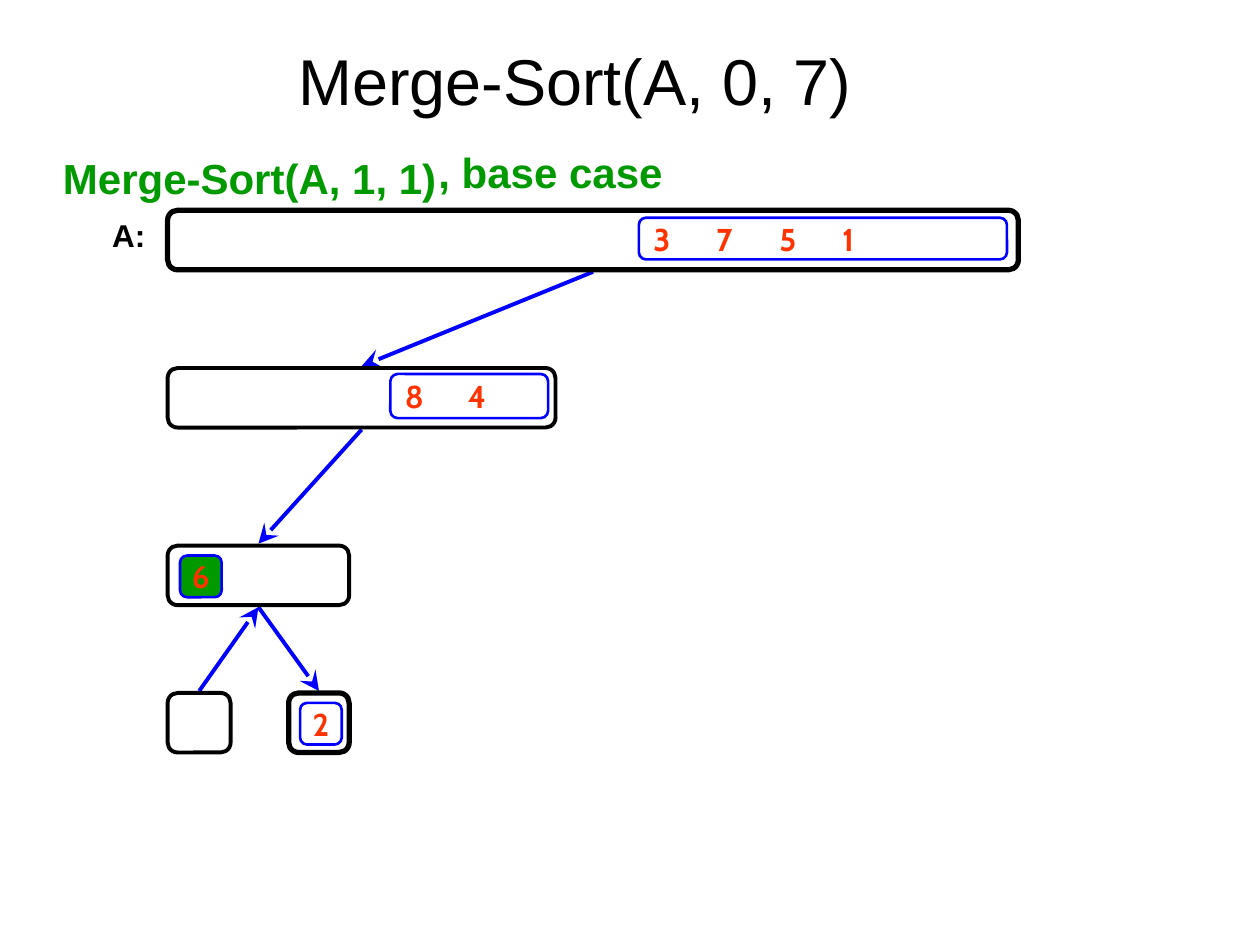
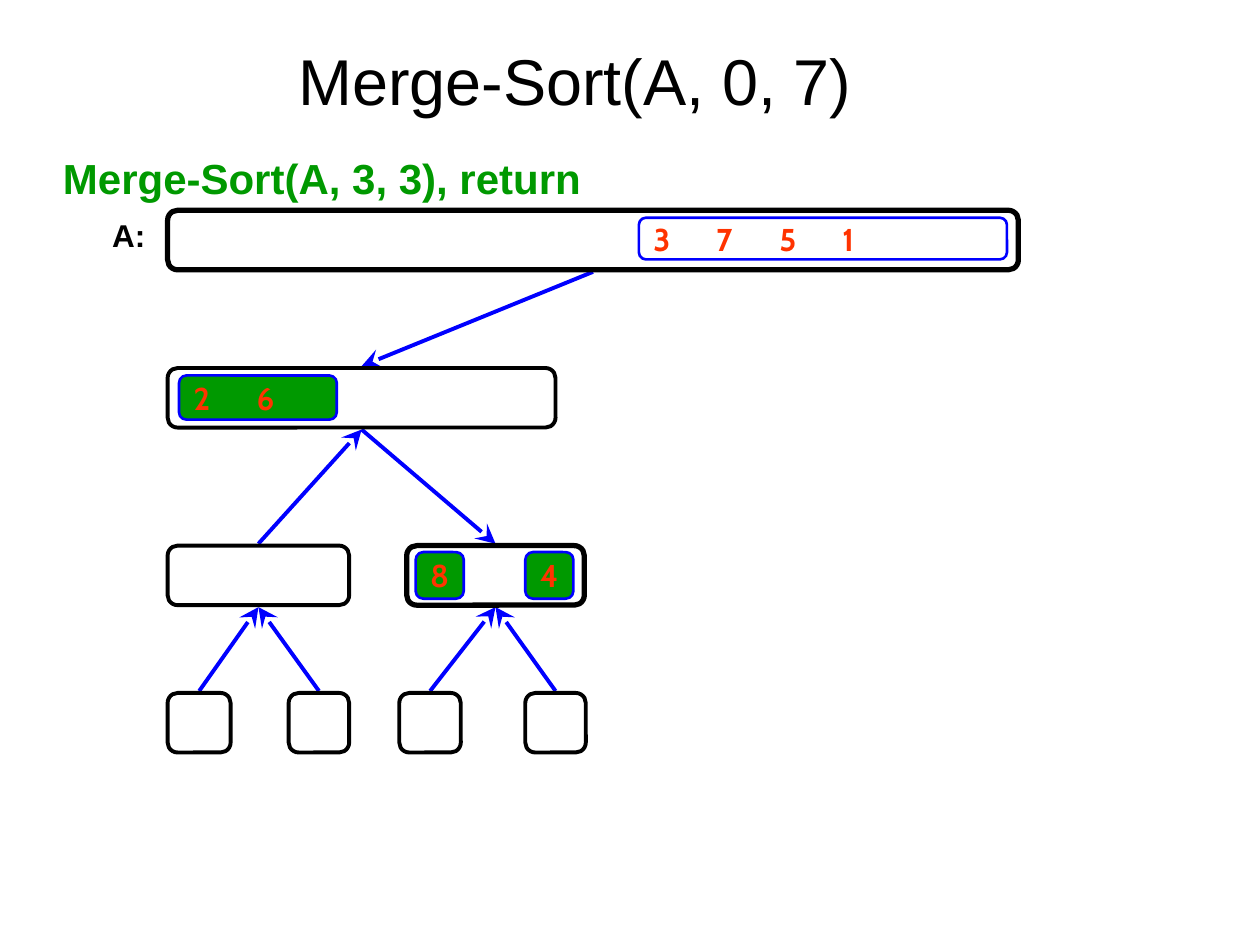
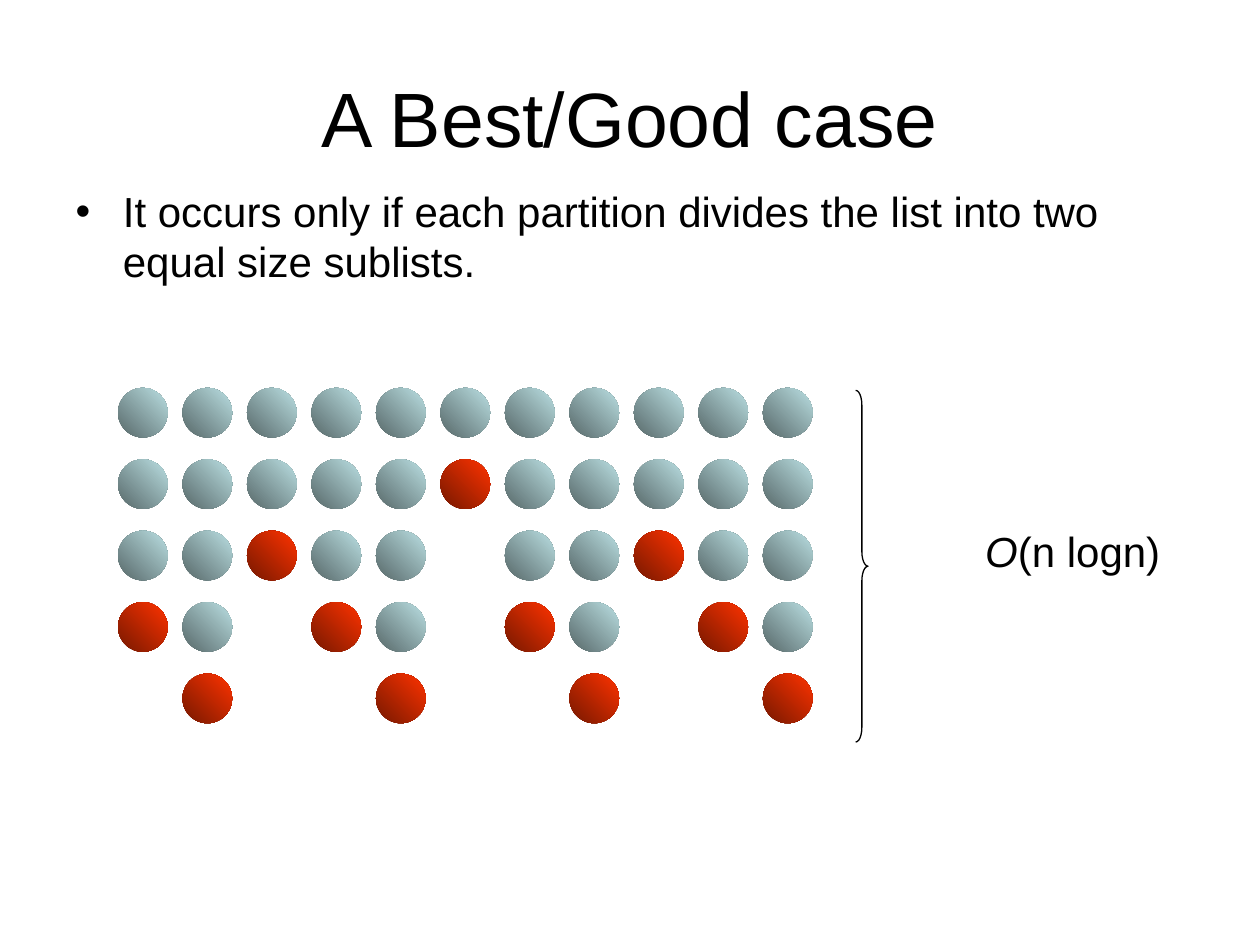
"""Build three slides: two merge-sort recursion steps and the best case of partitioning."""
from dataclasses import dataclass, field
from typing import Optional

from lxml import etree
from pptx import Presentation
from pptx import util as u
from pptx.dml.color import RGBColor
from pptx.enum import shapes, text
from pptx.oxml.ns import qn


@dataclass(frozen=True)
class Style:
    size: float
    color: str
    bold: bool = False
    font: str = "Arial"


@dataclass(frozen=True)
class Theme:
    black: str = "000000"
    white: str = "FFFFFF"
    blue: str = "0000FF"
    green: str = "009900"
    grey_ball: tuple[str, str] = ("576869", "BBE0E3")
    red_ball: tuple[str, str] = ("761800", "FF3300")
    step_title: Style = Style(37, "000000")
    title: Style = Style(44, "000000")
    body: Style = Style(24, "000000")
    caption: Style = Style(24, "009900", True)
    label: Style = Style(18, "000000", True)
    digit: Style = Style(18, "FF3300", True, "Cabin")
    thin: float = 0.75
    cell: float = 1.5
    normal: float = 2.25
    thick: float = 3


@dataclass(frozen=True)
class Box:
    left: float
    top: float
    width: float
    height: float


@dataclass(frozen=True)
class Node:
    box: Box
    parent: Optional[str] = None


@dataclass(frozen=True)
class Cells:
    digits: str
    box: Box
    done: bool = False


@dataclass(frozen=True)
class Step:
    captions: list[tuple[str, Box]]
    active: str
    called: list[str]
    returned: list[str]
    cells: list[Cells] = field(default_factory=list)


THEME = Theme()
CORNER = 0.167
EDGE_GAP = 0.04
DIGIT_TABS = (1.77, 3.53, 5.16)
NODE_HEIGHT = 1.2
ROOT_TOP, HALF_TOP, PAIR_TOP, LEAF_TOP = 4.24, 7.42, 11, 13.97

NODES = {
    "root": Node(Box(3.38, ROOT_TOP, 17.15, NODE_HEIGHT)),
    "half": Node(Box(3.38, HALF_TOP, 7.82, NODE_HEIGHT), "root"),
    "pair 0-1": Node(Box(3.38, PAIR_TOP, 3.66, NODE_HEIGHT), "half"),
    "pair 2-3": Node(Box(8.2, PAIR_TOP, 3.58, NODE_HEIGHT), "half"),
    "leaf 0": Node(Box(3.38, LEAF_TOP, 1.27, NODE_HEIGHT), "pair 0-1"),
    "leaf 1": Node(Box(5.82, LEAF_TOP, 1.22, NODE_HEIGHT), "pair 0-1"),
    "leaf 2": Node(Box(8.05, LEAF_TOP, 1.24, NODE_HEIGHT), "pair 2-3"),
    "leaf 3": Node(Box(10.59, LEAF_TOP, 1.22, NODE_HEIGHT), "pair 2-3"),
}

RIGHT_HALF = Cells("3751", Box(12.88, 4.39, 7.42, 0.84))

STEPS = [
    Step(
        [("Merge-Sort(A, 1, 1)", Box(1.02, 2.95, 8.64, 1.27)),
         (", base case", Box(8.59, 2.82, 6.17, 1.27))],
        active="leaf 1",
        called=["half", "pair 0-1", "leaf 1"],
        returned=["leaf 0"],
        cells=[RIGHT_HALF,
               Cells("84", Box(7.87, 7.54, 3.18, 0.89)),
               Cells("6", Box(3.63, 11.2, 0.84, 0.84), True),
               Cells("2", Box(6.05, 14.17, 0.84, 0.84))],
    ),
    Step(
        [("Merge-Sort(A, 3, 3), return", Box(1.02, 2.95, 11.61, 1.27))],
        active="pair 2-3",
        called=["half", "pair 2-3"],
        returned=["pair 0-1", "leaf 0", "leaf 1", "leaf 2", "leaf 3"],
        cells=[RIGHT_HALF,
               Cells("26", Box(3.61, 7.57, 3.18, 0.89), True),
               Cells("8", Box(8.38, 11.13, 0.97, 0.94), True),
               Cells("4", Box(10.59, 11.13, 0.97, 0.94), True)],
    ),
]

PARTITIONS = [
    "...........",
    ".....#.....",
    "..#.. ..#..",
    "#. #. #. #.",
    " #  #  #  #",
]
BALL = Box(2.38, 7.82, 1, 1)
BALL_PITCH, ROW_PITCH = 1.3, 1.44


def rgb(color: str) -> RGBColor:
    return RGBColor.from_string(color)


def lengths(box: Box) -> list[u.Cm]:
    return [u.Cm(v) for v in (box.left, box.top, box.width, box.height)]


def format_runs(p, style: Style) -> None:
    for r in p.runs:
        r.font.name = style.font
        r.font.size = u.Pt(style.size)
        r.font.bold = style.bold
        r.font.color.rgb = rgb(style.color)


def write(tf, words: str, style: Style, align=text.PP_ALIGN.LEFT,
          anchor=text.MSO_ANCHOR.TOP, wrap: bool = True) -> None:
    tf.text = words
    tf.word_wrap = wrap
    tf.auto_size = text.MSO_AUTO_SIZE.NONE
    tf.vertical_anchor = anchor
    p = tf.paragraphs[0]
    p.alignment = align
    p.space_before = u.Pt(0)
    format_runs(p, style)


def fill_placeholder(sp, box: Box, words: str, style: Style, **layout) -> None:
    sp.left, sp.top, sp.width, sp.height = lengths(box)
    write(sp.text_frame, words, style, **layout)


def add_text(s, box: Box, words: str, style: Style, wrap: bool = True) -> None:
    write(s.shapes.add_textbox(*lengths(box)).text_frame, words, style, wrap=wrap)


def add_outline(s, kind, box: Box, color: str, weight: float,
                fill: Optional[str] = None):
    sp = s.shapes.add_shape(kind, *lengths(box))
    sp.shadow.inherit = False
    sp.line.color.rgb = rgb(color)
    sp.line.width = u.Pt(weight)
    if fill:
        sp.fill.solid()
        sp.fill.fore_color.rgb = rgb(fill)
    else:
        sp.fill.background()
    return sp


def add_rounded(s, box: Box, color: str, weight: float, fill: Optional[str] = None):
    sp = add_outline(s, shapes.MSO_SHAPE.ROUNDED_RECTANGLE, box, color, weight, fill)
    sp.adjustments[0] = CORNER
    return sp


def add_edge(s, child: Node, returned: bool) -> None:
    parent = NODES[child.parent].box
    ends = [
        (parent.left + parent.width / 2, parent.top + parent.height + EDGE_GAP),
        (child.box.left + child.box.width / 2, child.box.top - EDGE_GAP),
    ]
    start, end = reversed(ends) if returned else ends
    line = s.shapes.add_connector(
        shapes.MSO_CONNECTOR.STRAIGHT, *(u.Cm(v) for v in start + end))
    line.line.color.rgb = rgb(THEME.blue)
    line.line.width = u.Pt(THEME.normal)
    etree.SubElement(line.line._get_or_add_ln(), qn("a:tailEnd"),
                     type="stealth", w="lg", len="lg")
    etree.SubElement(line._element.spPr, qn("a:effectLst"))


def add_cells(s, cells: Cells) -> None:
    fill = THEME.green if cells.done else None
    tf = add_rounded(s, cells.box, THEME.blue, THEME.cell, fill).text_frame
    single = len(cells.digits) == 1
    if not single:
        tabs = etree.SubElement(tf.paragraphs[0]._p.get_or_add_pPr(), qn("a:tabLst"))
        for pos in DIGIT_TABS[:len(cells.digits) - 1]:
            etree.SubElement(tabs, qn("a:tab"), pos=str(int(u.Cm(pos))), algn="l")
    write(tf, "\t".join(cells.digits), THEME.digit,
          text.PP_ALIGN.CENTER if single else text.PP_ALIGN.LEFT,
          text.MSO_ANCHOR.MIDDLE, wrap=not single)


def add_step_slide(prs, step: Step) -> None:
    s = prs.slides.add_slide(prs.slide_layouts[5])
    fill_placeholder(s.shapes.title, Box(1.12, 0.89, 20.96, 1.63),
                     "Merge-Sort(A, 0, 7)", THEME.step_title,
                     align=text.PP_ALIGN.CENTER, anchor=text.MSO_ANCHOR.BOTTOM)
    for name in step.called + step.returned:
        add_edge(s, NODES[name], name in step.returned)
    for name in ["root"] + step.called + step.returned:
        weight = THEME.thick if name in ("root", step.active) else THEME.normal
        add_rounded(s, NODES[name].box, THEME.black, weight)
    for cells in step.cells:
        add_cells(s, cells)
    for words, box in step.captions:
        add_text(s, box, words, THEME.caption)
    add_text(s, Box(2.01, 4.24, 1.17, 1.02), "A:", THEME.label, wrap=False)


def add_ball(group, row: int, column: int, colors: tuple[str, str]) -> None:
    box = Box(BALL.left + column * BALL_PITCH, BALL.top + row * ROW_PITCH,
              BALL.width, BALL.height)
    sp = group.shapes.add_shape(shapes.MSO_SHAPE.OVAL, *lengths(box))
    sp.shadow.inherit = False
    sp.line.fill.background()
    sp.fill.gradient()
    sp.fill.gradient_angle = 45
    for stop, color in zip(sp.fill.gradient_stops, colors):
        stop.color.rgb = rgb(color)


def add_best_case_slide(prs) -> None:
    s = prs.slides.add_slide(prs.slide_layouts[1])
    fill_placeholder(s.shapes.title, Box(1.27, 0.76, 22.86, 3.18),
                     "A Best/Good case", THEME.title,
                     align=text.PP_ALIGN.CENTER, anchor=text.MSO_ANCHOR.MIDDLE)
    fill_placeholder(s.placeholders[1], Box(1.27, 3.61, 22.86, 12.57),
                     "It occurs only if each partition divides the list into two "
                     "equal size sublists.", THEME.body)
    group = s.shapes.add_group_shape()
    balls = {".": THEME.grey_ball, "#": THEME.red_ball}
    for row, marks in enumerate(PARTITIONS):
        for column, mark in enumerate(marks):
            if mark in balls:
                add_ball(group, row, column, balls[mark])

    brace = add_outline(s, shapes.MSO_SHAPE.RIGHT_BRACE, Box(17.25, 7.87, 0.25, 7.09),
                        THEME.black, THEME.thin)
    brace.adjustments[0] = 1.17

    cost = add_outline(s, shapes.MSO_SHAPE.RECTANGLE, Box(19.25, 10.31, 4.75, 1.6),
                       THEME.white, THEME.thin, THEME.white)
    write(cost.text_frame, "O", THEME.body, text.PP_ALIGN.CENTER,
          text.MSO_ANCHOR.MIDDLE, wrap=False)
    p = cost.text_frame.paragraphs[0]
    p.runs[0].font.italic = True
    p.add_run().text = "(n logn)"
    format_runs(p, THEME.body)


def main() -> None:
    prs = Presentation()
    prs.slide_width, prs.slide_height = u.Cm(25.4), u.Cm(19.05)
    for step in STEPS:
        add_step_slide(prs, step)
    add_best_case_slide(prs)
    prs.save("out.pptx")


if __name__ == "__main__":
    main()
